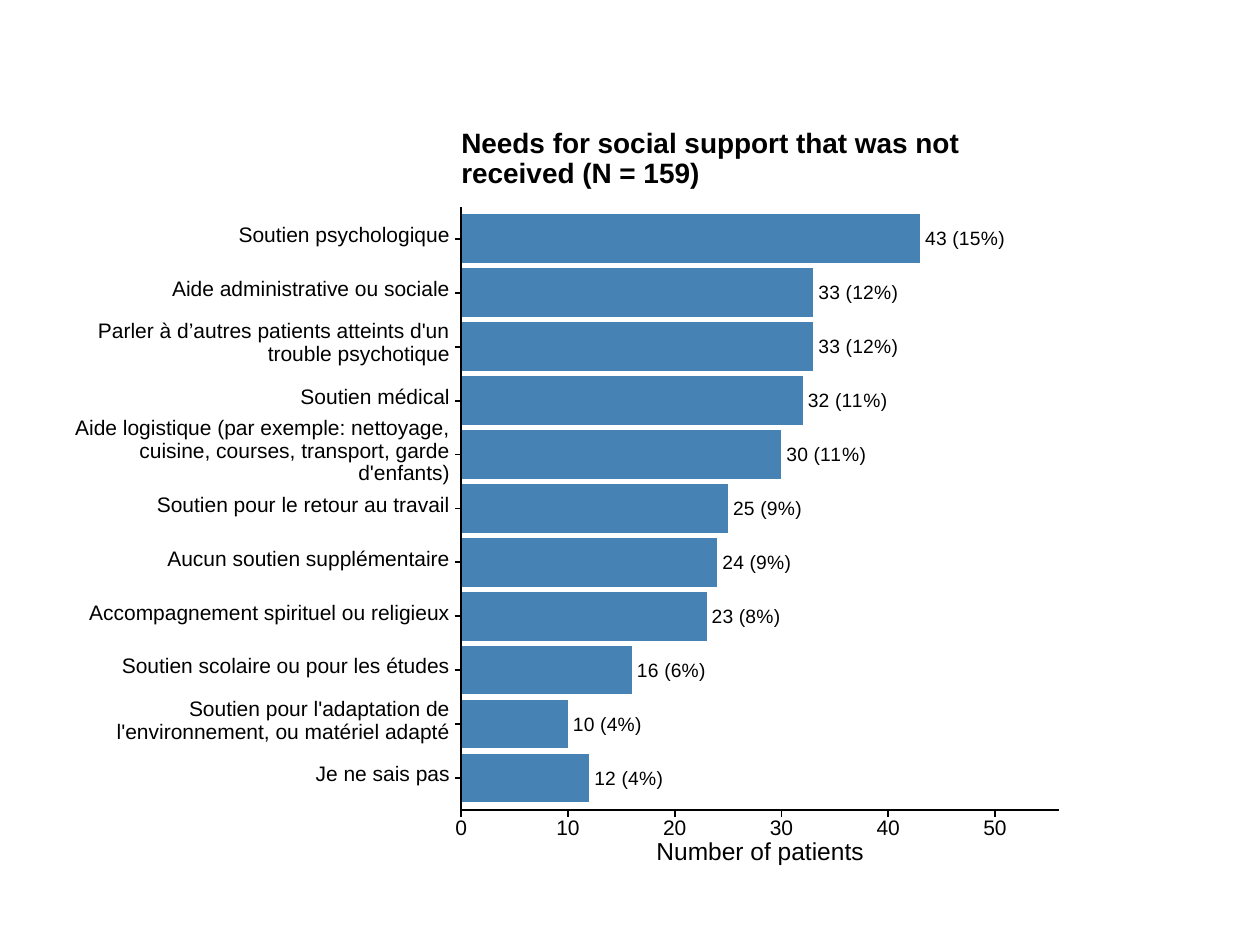
from pptx import Presentation
from pptx.chart.data import CategoryChartData
from pptx.dml.color import RGBColor
from pptx.enum.chart import XL_CHART_TYPE, XL_LABEL_POSITION, XL_TICK_LABEL_POSITION, XL_TICK_MARK
from pptx.enum.shapes import MSO_CONNECTOR, MSO_SHAPE
from pptx.enum.text import MSO_ANCHOR, PP_ALIGN
from pptx.oxml import parse_xml
from pptx.oxml.ns import nsdecls, qn
from pptx.util import Cm, Pt

BAR = XL_CHART_TYPE.BAR_CLUSTERED
OUTSIDE_END = XL_LABEL_POSITION.OUTSIDE_END
NO_LABELS = XL_TICK_LABEL_POSITION.NONE
NO_TICKS, OUTER_TICKS = XL_TICK_MARK.NONE, XL_TICK_MARK.OUTSIDE
STRAIGHT = MSO_CONNECTOR.STRAIGHT
RECTANGLE = MSO_SHAPE.RECTANGLE
MIDDLE = MSO_ANCHOR.MIDDLE
LEFT, CENTER, RIGHT = PP_ALIGN.LEFT, PP_ALIGN.CENTER, PP_ALIGN.RIGHT

COLORS = {"paper": "FFFFFF", "ink": "000000", "bar": "4682B4"}

# Need, number of patients, percentage
NEEDS = [
    ("Soutien psychologique", 43, 15),
    ("Aide administrative ou sociale", 33, 12),
    ("Parler à d’autres patients atteints d'un\ntrouble psychotique", 33, 12),
    ("Soutien médical", 32, 11),
    ("Aide logistique (par exemple: nettoyage,\ncuisine, courses, transport, garde\nd'enfants)", 30, 11),
    ("Soutien pour le retour au travail", 25, 9),
    ("Aucun soutien supplémentaire", 24, 9),
    ("Accompagnement spirituel ou religieux", 23, 8),
    ("Soutien scolaire ou pour les études", 16, 6),
    ("Soutien pour l'adaptation de\nl'environnement, ou matériel adapté", 10, 4),
    ("Je ne sais pas", 12, 4),
]

# Frames in cm: left, top, width, height
PANEL = (1.27, 2.54, 20.32, 15.24)
PLOT = (9.3, 4.27, 12.05, 11.96)
ROW = PLOT[3] / len(NEEDS)
AXIS_OVERHANG = 0.1
TICK = 0.13
SCALE_MAX, SCALE_STEP = 56, 10


def color(name):
    return RGBColor.from_string(COLORS[name])


def format_text(frame, text, size=12, bold=False, align=LEFT, spacing=None):
    """Put text in a frame, one paragraph per line."""
    frame.text = text
    frame.word_wrap = False
    for para in frame.paragraphs:
        para.alignment = align
        if spacing:
            para.line_spacing = Pt(spacing)
        for span in para.runs:
            span.font.name = "Arial"
            span.font.size = Pt(size)
            span.font.bold = bold
            span.font.color.rgb = color("ink")


class Page:
    line_width = Pt(1.07)

    def __init__(self, deck):
        self.slide = deck.slides.add_slide(deck.slide_layouts[6])
        self.shapes = self.slide.shapes

    def panel(self, frame):
        shape = self.shapes.add_shape(RECTANGLE, *map(Cm, frame))
        shape.shadow.inherit = False
        shape.fill.solid()
        shape.fill.fore_color.rgb = color("paper")
        shape.line.color.rgb = color("paper")
        shape.line.width = Pt(0.75)

    def text(self, frame, text, **style):
        box = self.shapes.add_textbox(*map(Cm, frame))
        body = box.text_frame
        body.margin_left = body.margin_right = body.margin_top = body.margin_bottom = 0
        body.vertical_anchor = MIDDLE
        format_text(body, text, **style)

    def line(self, x1, y1, x2, y2):
        line = self.shapes.add_connector(STRAIGHT, Cm(x1), Cm(y1), Cm(x2), Cm(y2))
        line.line.color.rgb = color("ink")
        line.line.width = self.line_width
        line._element.spPr.append(parse_xml(f"<a:effectLst {nsdecls('a')}/>"))

    def bar_chart(self, frame, plot_frame, rows):
        rows = rows[::-1]  # a bar chart fills from the bottom up
        data = CategoryChartData()
        data.categories = [need.replace("\n", " ") for need, _, _ in rows]
        data.add_series("Number of patients", [count for _, count, _ in rows])
        chart = self.shapes.add_chart(BAR, *map(Cm, frame), data).chart
        chart.has_title = chart.has_legend = False
        chart.font.name = "Arial"
        chart.font.size = Pt(12)
        chart.font.color.rgb = color("ink")

        # Bars and their labels
        plot = chart.plots[0]
        plot.gap_width = 11
        plot.vary_by_categories = False
        series = plot.series[0]
        series.format.fill.solid()
        series.format.fill.fore_color.rgb = color("bar")
        for index, (_, count, percent) in enumerate(rows):
            label = series.points[index].data_label
            format_text(label.text_frame, f"{count} ({percent}%)", size=11)
            label.position = OUTSIDE_END

        # Scales; the axis lines overhang the bars and are drawn separately
        for axis in (chart.category_axis, chart.value_axis):
            axis.has_major_gridlines = False
            axis.minor_tick_mark = NO_TICKS
            axis.format.line.fill.background()
        chart.category_axis.major_tick_mark = NO_TICKS
        chart.category_axis.tick_label_position = NO_LABELS
        values = chart.value_axis
        values.major_tick_mark = OUTER_TICKS
        values.minimum_scale, values.maximum_scale, values.major_unit = 0, SCALE_MAX, SCALE_STEP
        self.place_plot(chart, frame, plot_frame)

    def place_plot(self, chart, frame, plot_frame):
        """Fix the inner plot area as fractions of the chart frame."""
        fractions = {
            "x": (plot_frame[0] - frame[0]) / frame[2],
            "y": (plot_frame[1] - frame[1]) / frame[3],
            "w": plot_frame[2] / frame[2],
            "h": plot_frame[3] / frame[3],
        }
        modes = '<c:xMode val="edge"/><c:yMode val="edge"/>'
        sizes = "".join(f'<c:{key} val="{value:.4f}"/>' for key, value in fractions.items())
        area = chart._chartSpace.find(".//" + qn("c:plotArea"))
        for old in area.findall(qn("c:layout")):
            area.remove(old)
        area.insert(0, parse_xml(
            f'<c:layout {nsdecls("c")}><c:manualLayout><c:layoutTarget val="inner"/>'
            f"{modes}{sizes}</c:manualLayout></c:layout>"))


def main():
    deck = Presentation()
    deck.slide_width, deck.slide_height = Cm(25.4), Cm(19.05)
    page = Page(deck)
    left, top, width, height = PLOT
    base = top + height + AXIS_OVERHANG

    # Chart
    page.panel(PANEL)
    page.bar_chart(PANEL, PLOT, NEEDS)

    # Axis lines and the ticks of the value axis
    page.line(left, base, left, top - AXIS_OVERHANG)
    page.line(left, base, left + width, base)
    for value in range(0, SCALE_MAX, SCALE_STEP):
        x = left + width * value / SCALE_MAX
        page.line(x, base + TICK, x, base)

    # Names of the needs, each with a tick at the middle of its bar
    for index, (need, _, _) in enumerate(NEEDS):
        middle = top + ROW * (index + 0.5)
        page.text((1.47, middle - 0.77, 7.6, 1.4), need, align=RIGHT, spacing=13)
        page.line(left - TICK, middle, left, middle)

    # Titles
    page.text((left, 2.57, width, 1.28), "Needs for social support that was not\nreceived (N = 159)",
              size=16, bold=True, spacing=17.25)
    page.text((left, 16.95, width, 0.5), "Number of patients", size=14, align=CENTER, spacing=14)

    deck.save("out.pptx")


if __name__ == "__main__":
    main()
